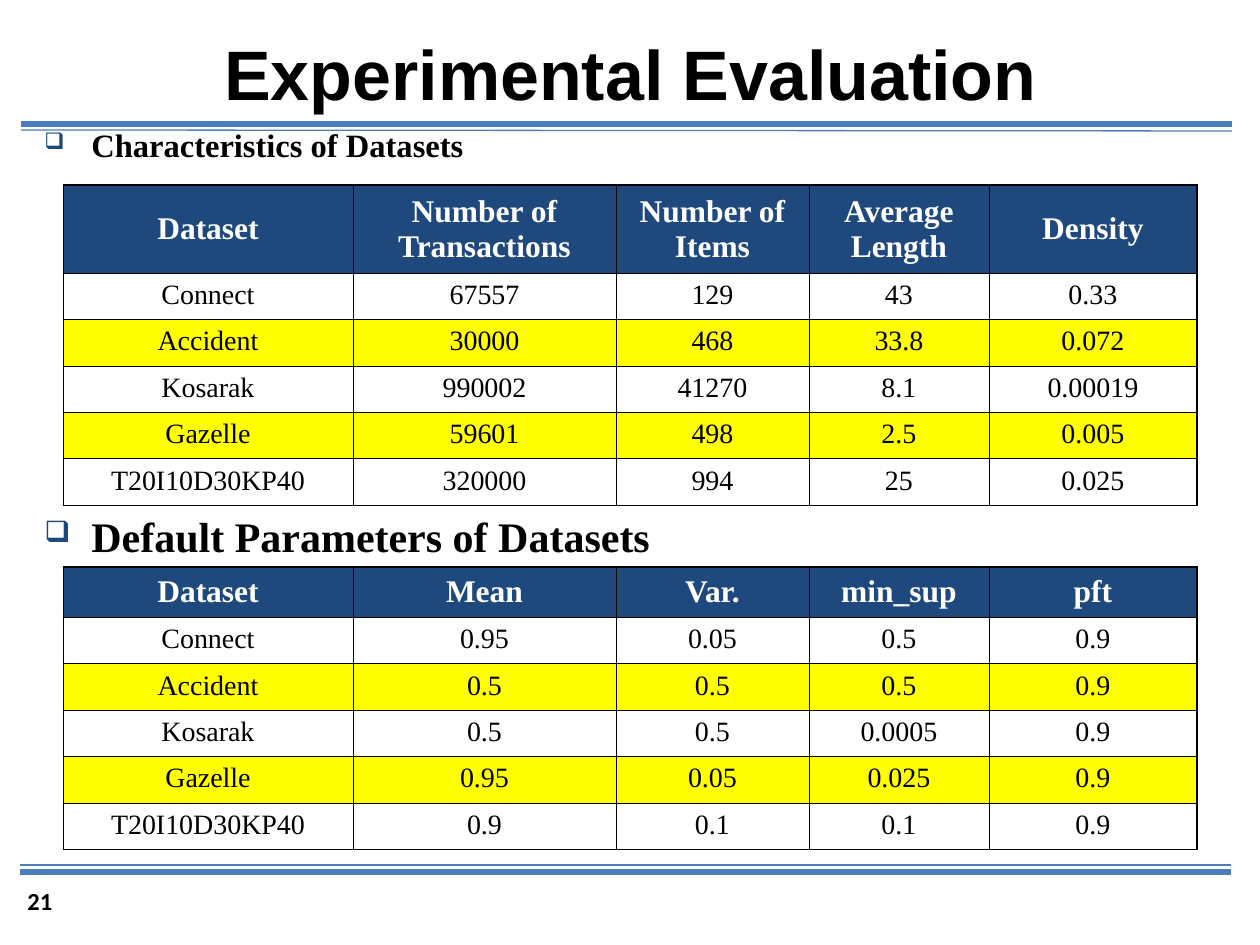
import pptx
import pptx.dml.color
import pptx.enum.shapes
import pptx.enum.text
import pptx.oxml.ns
import pptx.util
from lxml import etree

COLORS = {"text": "000000", "header_text": "FFFFFF", "header": "1F497D",
          "rule": "4A7EBB", "highlight": "FFFF00", "plain": "FFFFFF", "border": "000000"}
EMU_PER_PX = 914400 / 126
SERIF = "Times New Roman"
COLUMN_WIDTHS = [290, 263, 193, 180, 208]
TABLE_LEFT = 63
BODY_HEIGHT = 232
THIN_BORDER, THICK_BORDER = 0.45, 1.08

CHARACTERISTICS = [
    ["Dataset", "Number of Transactions", "Number of Items", "Average Length", "Density"],
    ["Connect", "67557", "129", "43", "0.33"],
    ["Accident", "30000", "468", "33.8", "0.072"],
    ["Kosarak", "990002", "41270", "8.1", "0.00019"],
    ["Gazelle", "59601", "498", "2.5", "0.005"],
    ["T20I10D30KP40", "320000", "994", "25", "0.025"],
]
DEFAULT_PARAMETERS = [
    ["Dataset", "Mean", "Var.", "min_sup", "pft"],
    ["Connect", "0.95", "0.05", "0.5", "0.9"],
    ["Accident", "0.5", "0.5", "0.5", "0.9"],
    ["Kosarak", "0.5", "0.5", "0.0005", "0.9"],
    ["Gazelle", "0.95", "0.05", "0.025", "0.9"],
    ["T20I10D30KP40", "0.9", "0.1", "0.1", "0.9"],
]


def px(length):
    return pptx.util.Emu(round(length * EMU_PER_PX))


def rgb(name):
    return pptx.dml.color.RGBColor.from_string(COLORS[name])


def add_element(parent, tag, **attributes):
    element = etree.SubElement(parent, pptx.oxml.ns.qn(tag))
    for key, value in attributes.items():
        element.set(key, str(value))
    return element


def add_bullet(paragraph):
    properties = paragraph._p.get_or_add_pPr()
    properties.set("marL", str(px(47)))
    properties.set("indent", str(-px(47)))
    add_element(add_element(properties, "a:buClr"), "a:srgbClr", val=COLORS["header"])
    add_element(properties, "a:buSzPct", val=70000)
    add_element(properties, "a:buChar", char="❑")


def write_text(frame, text, font=SERIF, size=16, color="text", bold=False,
               align="LEFT", bullet=False, line_spacing=None):
    paragraph = frame.paragraphs[0]
    if bullet:
        add_bullet(paragraph)
    paragraph.alignment = getattr(pptx.enum.text.PP_ALIGN, align)
    if line_spacing:
        paragraph.line_spacing = line_spacing
    run = paragraph.add_run()
    run.text = text
    run.font.name = font
    run.font.size = pptx.util.Pt(size)
    run.font.bold = bold
    run.font.color.rgb = rgb(color)


def add_text(slide, text, left, top, width, height, anchor="TOP", **text_format):
    frame = slide.shapes.add_textbox(px(left), px(top), px(width), px(height)).text_frame
    frame.word_wrap = True
    frame.vertical_anchor = getattr(pptx.enum.text.MSO_ANCHOR, anchor)
    write_text(frame, text, **text_format)


def add_rule(slide, left, right, start_y, end_y, weight):
    rule = slide.shapes.add_connector(pptx.enum.shapes.MSO_CONNECTOR.STRAIGHT,
                                      px(left), px(start_y), px(right), px(end_y))
    rule.line.color.rgb = rgb("rule")
    rule.line.width = pptx.util.Pt(weight)
    add_element(rule._element.spPr, "a:effectLst")


def set_borders(cell, top, right):
    properties = cell._tc.get_or_add_tcPr()
    widths = {"a:lnL": THIN_BORDER, "a:lnR": right, "a:lnT": top, "a:lnB": THIN_BORDER}
    for tag, width in widths.items():
        border = add_element(properties, tag, w=pptx.util.Pt(width))
        add_element(add_element(border, "a:solidFill"), "a:srgbClr", val=COLORS["border"])


def add_dataset_table(slide, records, top, header_height):
    row_heights = [header_height] + [BODY_HEIGHT / (len(records) - 1)] * (len(records) - 1)
    table = slide.shapes.add_table(
        len(records), len(COLUMN_WIDTHS), px(TABLE_LEFT), px(top),
        px(sum(COLUMN_WIDTHS)), px(sum(row_heights))).table
    table.horz_banding = False
    for column, width in zip(table.columns, COLUMN_WIDTHS):
        column.width = px(width)
    for row, height in zip(table.rows, row_heights):
        row.height = px(height)

    for i, record in enumerate(records):
        is_header = i == 0
        fill = "header" if is_header else "plain" if i % 2 else "highlight"
        for j, value in enumerate(record):
            cell = table.cell(i, j)
            is_last = j == len(record) - 1
            set_borders(cell, top=THICK_BORDER if is_header else THIN_BORDER,
                        right=THICK_BORDER if is_last else THIN_BORDER)
            cell.fill.solid()
            cell.fill.fore_color.rgb = rgb(fill)
            if is_header:
                cell.vertical_anchor = pptx.enum.text.MSO_ANCHOR.MIDDLE
            write_text(cell.text_frame, value, align="CENTER", bold=is_header,
                       size=18 if is_header else 16,
                       color="header_text" if is_header else "text")


def main():
    presentation = pptx.Presentation()
    presentation.slide_width, presentation.slide_height = px(1260), px(945)
    slide = presentation.slides.add_slide(presentation.slide_layouts[6])

    # Double rules under the title and above the footer
    add_rule(slide, 21, 1232, 124, 124, 3)
    add_rule(slide, 21, 1232, 130, 131, 0.75)
    add_rule(slide, 20, 1231, 872, 872, 3)
    add_rule(slide, 20, 1231, 865, 865, 0.75)

    # Title and page number
    add_text(slide, "Experimental Evaluation", 116, 23, 1029, 100, anchor="MIDDLE",
             font="Arial", size=40, bold=True, align="CENTER")
    add_text(slide, "21", 15, 880, 129, 50, font="Calibri", size=14, bold=True)

    # Dataset characteristics
    add_text(slide, "Characteristics of Datasets", 32, 126, 1197, 53,
             size=18.6, bold=True, bullet=True, line_spacing=0.8)
    add_dataset_table(slide, CHARACTERISTICS, top=185, header_height=88)

    # Default parameters
    add_text(slide, "Default Parameters of Datasets", 32, 504, 1197, 53,
             size=24, bold=True, bullet=True)
    add_dataset_table(slide, DEFAULT_PARAMETERS, top=567, header_height=50)

    presentation.save("out.pptx")


if __name__ == "__main__":
    main()
